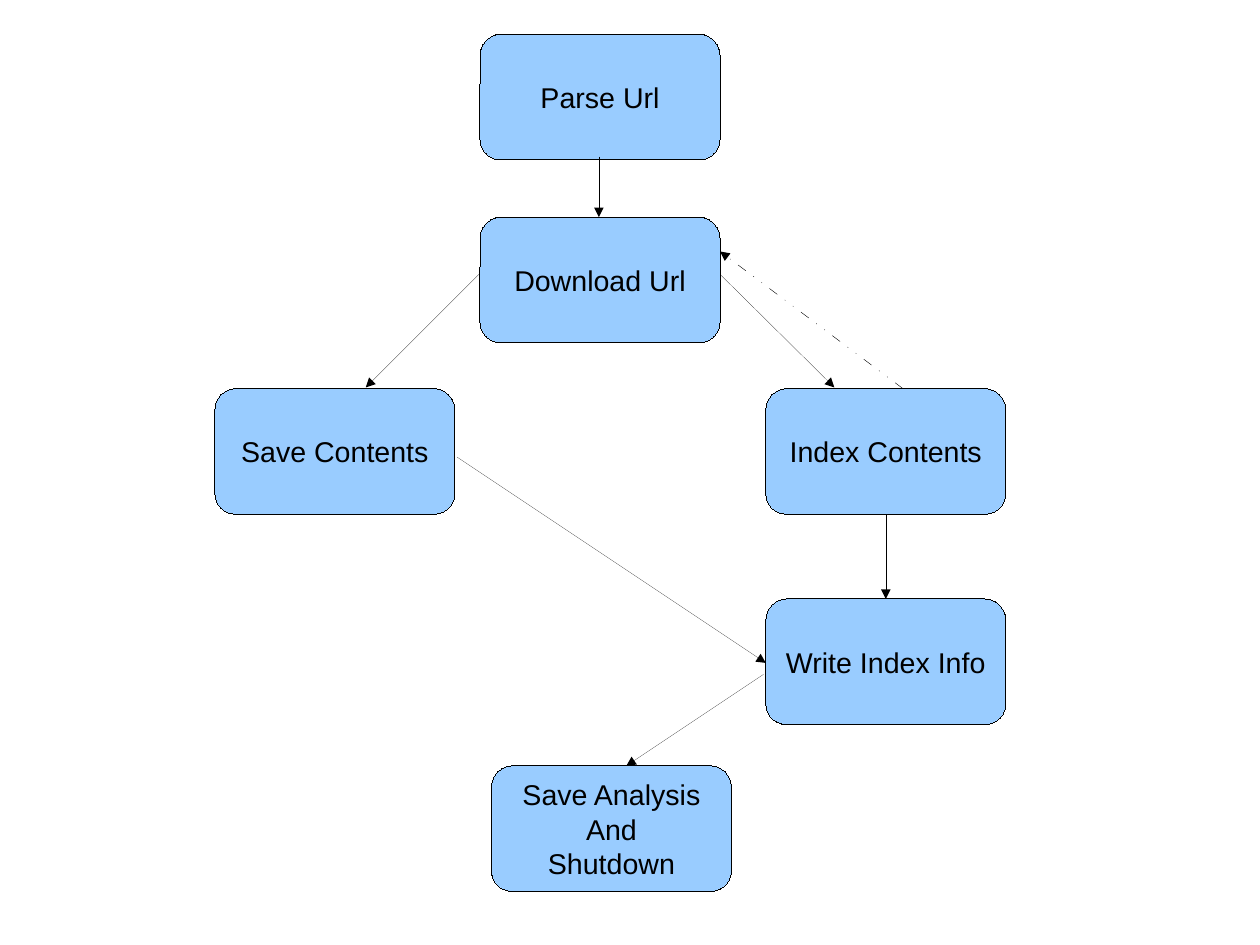
"""Flowchart of a web crawler, from parsing a URL to saving the analysis."""
import lxml.etree
import pptx
import pptx.dml.color
import pptx.enum.shapes
import pptx.enum.text
import pptx.oxml.ns
import pptx.util

SLIDE_WIDTH, SLIDE_HEIGHT = pptx.util.Cm(28), pptx.util.Cm(21)
STEP_WIDTH, STEP_HEIGHT = 2.1, 1.1
LEFT, CENTRE, LOWER_CENTRE, RIGHT = 1.88, 4.2, 4.3, 6.7
ROWS = (0.3, 1.9, 3.4, 5.24, 6.7)
SKY = pptx.dml.color.RGBColor(0x99, 0xCC, 0xFF)
BLACK = pptx.dml.color.RGBColor(0, 0, 0)
HAIRLINE = pptx.util.Pt(0)
DASHED_WIDTH = pptx.util.Pt(0.25)
DASH_DOT_DOT = ((24, 23), (2, 23), (2, 23))

STEPS = (
    ("Parse Url", CENTRE, ROWS[0]),
    ("Save Analysis\nAnd\nShutdown", LOWER_CENTRE, ROWS[4]),
    ("Write Index Info", RIGHT, ROWS[3]),
    ("Index Contents", RIGHT, ROWS[2]),
    ("Save Contents", LEFT, ROWS[2]),
    ("Download Url", CENTRE, ROWS[1]),
)
FLOWS = (
    ((5.24, 1.37), (5.24, ROWS[1])),
    ((4.19, 2.4), (3.2, 3.39)),
    ((6.31, 2.41), (7.3, 3.39)),
    ((7.75, 4.51), (7.75, ROWS[3])),
    ((6.68, 5.9), (5.48, ROWS[4])),
)
SAVED_CONTENTS_FLOW = ((4, 4), (RIGHT, 5.8))
FOUND_LINKS_FLOW = ((7.9, ROWS[2]), (6.3, 2.2))


def inches(*lengths):
    """Convert lengths to slide units."""
    return [pptx.util.Inches(length) for length in lengths]


def set_outline(part, width):
    """Give a part a black outline, free of the theme's style."""
    part.element.remove(part.element.find(pptx.oxml.ns.qn("p:style")))
    part.line.color.rgb = BLACK
    part.line.width = width


def write_text(frame, text, *, size=18, font="Arial", color=BLACK):
    """Write centred lines of text, one paragraph each."""
    frame.word_wrap = False
    frame.vertical_anchor = pptx.enum.text.MSO_ANCHOR.MIDDLE
    frame.text = text
    for paragraph in frame.paragraphs:
        paragraph.alignment = pptx.enum.text.PP_ALIGN.CENTER
        for run in paragraph.runs:
            run.font.size = pptx.util.Pt(size)
            run.font.name = font
            run.font.color.rgb = color


def add_step(slide, label, left, top):
    """Add one rounded step of the process."""
    step = slide.shapes.add_shape(
        pptx.enum.shapes.MSO_SHAPE.ROUNDED_RECTANGLE,
        *inches(left, top, STEP_WIDTH, STEP_HEIGHT))
    step.shadow.inherit = False
    step.fill.solid()
    step.fill.fore_color.rgb = SKY
    set_outline(step, HAIRLINE)
    write_text(step.text_frame, label)


def add_flow(slide, start, end, dashes=()):
    """Add an arrow between steps, dashed if a dash pattern is given."""
    flow = slide.shapes.add_connector(
        pptx.enum.shapes.MSO_CONNECTOR.STRAIGHT, *inches(*start, *end))
    set_outline(flow, DASHED_WIDTH if dashes else HAIRLINE)
    qn = pptx.oxml.ns.qn
    properties = flow.element.spPr
    outline = properties.find(qn("a:ln"))
    if dashes:
        pattern = lxml.etree.SubElement(outline, qn("a:custDash"))
        for dash, gap in dashes:
            lxml.etree.SubElement(pattern, qn("a:ds"),
                                  d=str(dash * 100000), sp=str(gap * 100000))
    lxml.etree.SubElement(outline, qn("a:tailEnd"), type="triangle")
    lxml.etree.SubElement(properties, qn("a:effectLst"))


def main():
    """Build the flowchart and save it."""
    deck = pptx.Presentation()
    deck.slide_width, deck.slide_height = SLIDE_WIDTH, SLIDE_HEIGHT
    slide = deck.slides.add_slide(deck.slide_layouts[6])
    add_flow(slide, *SAVED_CONTENTS_FLOW)
    for label, left, top in STEPS:
        add_step(slide, label, left, top)
    for start, end in FLOWS:
        add_flow(slide, start, end)
    add_flow(slide, *FOUND_LINKS_FLOW, dashes=DASH_DOT_DOT)
    deck.save("out.pptx")


if __name__ == "__main__":
    main()
